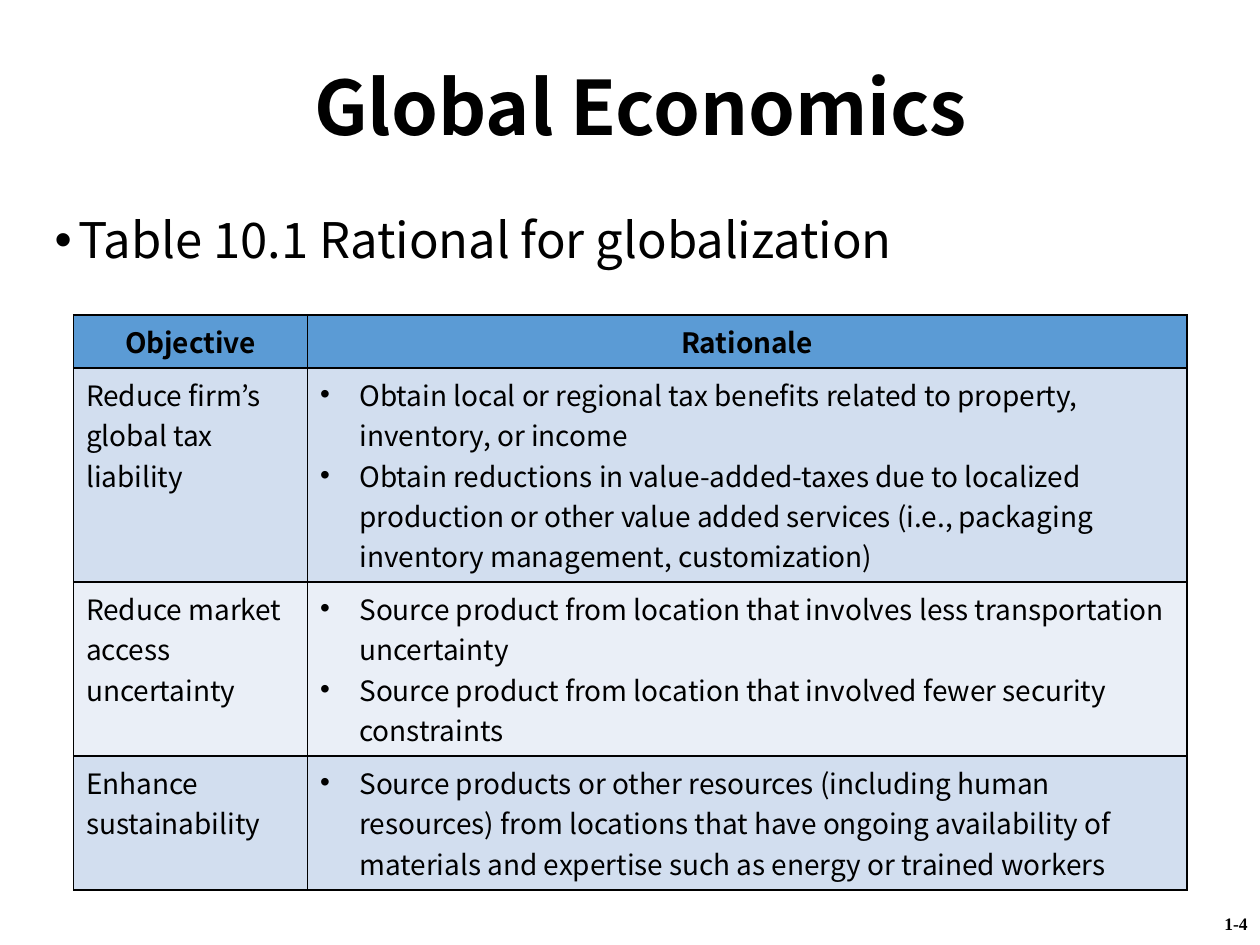
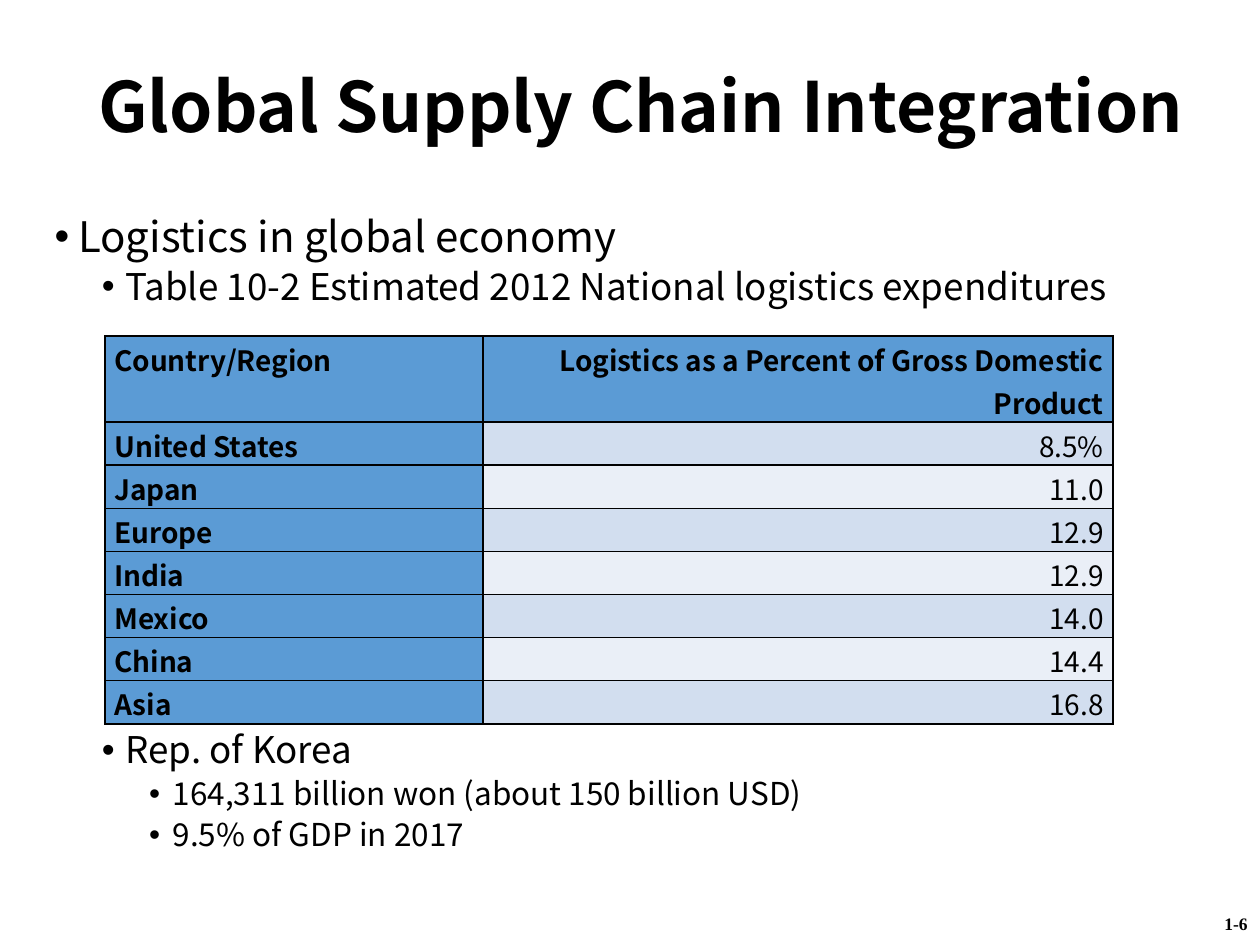
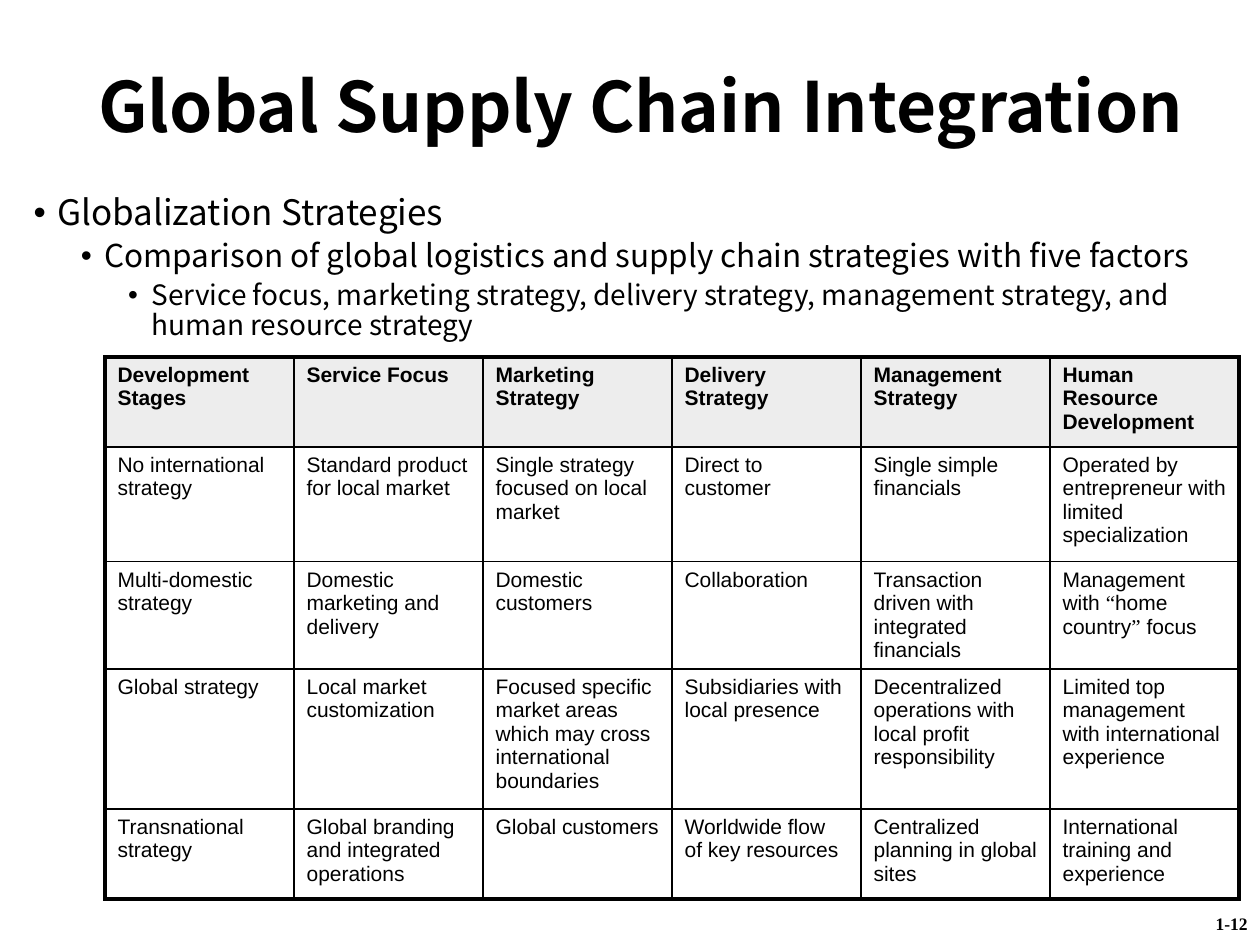
from itertools import groupby

from lxml import etree
from pptx import Presentation
from pptx.dml.color import RGBColor
from pptx.enum import text
from pptx.oxml.ns import qn
from pptx.util import Pt

COLORS = {
    "text": "000000",
    "header": "5B9BD5",
    "band_dark": "D2DEEF",
    "band_light": "EAEFF7",
    "gray": "EDEDED",
}
BANDS = ("band_dark", "band_light")
SANS, GRID_FONT, SERIF = "Noto Sans CJK KR", "Arial", "Times New Roman"
LEFT, CENTER, RIGHT = text.PP_ALIGN.LEFT, text.PP_ALIGN.CENTER, text.PP_ALIGN.RIGHT

SUPPLY_CHAIN_TITLE = "Global Supply Chain Integration"

RATIONALES = [
    ("Reduce firm’s global tax liability", [
        "Obtain local or regional tax benefits related to property, inventory, or income",
        "Obtain reductions in value-added-taxes due to localized production or other value "
        "added services (i.e., packaging inventory management, customization)",
    ]),
    ("Reduce market access uncertainty", [
        "Source product from location that involves less transportation uncertainty",
        "Source product from location that involved fewer security constraints",
    ]),
    ("Enhance sustainability", [
        "Source products or other resources (including human resources) from locations that "
        "have ongoing availability of materials and expertise such as energy or trained workers",
    ]),
]

EXPENDITURES = [
    ("Country/Region", "Logistics as a Percent of Gross Domestic Product"),
    ("United States", "8.5%"),
    ("Japan", "11.0"),
    ("Europe", "12.9"),
    ("India", "12.9"),
    ("Mexico", "14.0"),
    ("China", "14.4"),
    ("Asia", "16.8"),
]

STRATEGIES = [
    ("Development Stages", "Service Focus", "Marketing Strategy", "Delivery Strategy",
     "Management Strategy", "Human Resource Development"),
    ("No international strategy", "Standard product for local market",
     "Single strategy focused on local market", "Direct to customer",
     "Single simple financials", "Operated by entrepreneur with limited specialization"),
    ("Multi-domestic strategy", "Domestic marketing and delivery", "Domestic customers",
     "Collaboration", "Transaction driven with integrated financials",
     "Management with “home country” focus"),
    ("Global strategy", "Local market customization",
     "Focused specific market areas which may cross international boundaries",
     "Subsidiaries with local presence",
     "Decentralized operations with local profit responsibility",
     "Limited top management with international experience"),
    ("Transnational strategy", "Global branding and integrated operations",
     "Global customers", "Worldwide flow of key resources",
     "Centralized planning in global sites", "International training and experience"),
]


def set_attributes(target, values):
    for name, value in values.items():
        setattr(target, name, value)


def place(shape, left, top, width, height):
    set_attributes(shape, {"left": Pt(left), "top": Pt(top),
                           "width": Pt(width), "height": Pt(height)})


def add_run(paragraph, words, size, font=SANS, bold=False):
    run = paragraph.add_run()
    run.text = words
    set_attributes(run.font, {"name": font, "size": Pt(size), "bold": bold})
    run.font.color.rgb = RGBColor.from_string(COLORS["text"])


def add_bullet(paragraph, margin, hanging):
    properties = paragraph._p.get_or_add_pPr()
    properties.set("marL", str(Pt(margin)))
    properties.set("indent", str(-Pt(hanging)))
    font = etree.SubElement(properties, qn("a:buFont"))
    font.set("typeface", GRID_FONT)
    etree.SubElement(properties, qn("a:buChar")).set("char", "•")


def next_paragraph(frame, index):
    return frame.add_paragraph() if index else frame.paragraphs[0]


def add_slide(presentation, title, title_size, number):
    slide = presentation.slides.add_slide(presentation.slide_layouts[1])
    place(slide.shapes.title, 42, 24, 648, 72)
    frame = slide.shapes.title.text_frame
    set_attributes(frame, {"auto_size": text.MSO_AUTO_SIZE.NONE, "word_wrap": True,
                           "vertical_anchor": text.MSO_ANCHOR.MIDDLE})
    paragraph = frame.paragraphs[0]
    paragraph.alignment = CENTER
    add_run(paragraph, title, title_size, bold=True)

    box = slide.shapes.add_textbox(Pt(656), Pt(518.4), Pt(64), Pt(19.4))
    box.text_frame.word_wrap = True
    paragraph = box.text_frame.paragraphs[0]
    paragraph.alignment = RIGHT
    add_run(paragraph, number, 10, SERIF, bold=True)
    return slide


def fill_body(slide, position, items):
    """Write the list; each item is level, size, space before and words."""
    body = slide.placeholders[1]
    place(body, *position)
    frame = body.text_frame
    set_attributes(frame, {"auto_size": text.MSO_AUTO_SIZE.NONE, "word_wrap": True})
    for index, (level, size, space, words) in enumerate(items):
        paragraph = next_paragraph(frame, index)
        set_attributes(paragraph, {"level": level, "line_spacing": 0.9,
                                   "space_before": Pt(space)})
        add_bullet(paragraph, 13.5 + 27 * level, 13.5)
        add_run(paragraph, words, size)


def add_table(slide, left, top, widths, heights):
    frame = slide.shapes.add_table(len(heights), len(widths), Pt(left), Pt(top),
                                   Pt(sum(widths)), Pt(sum(heights)))
    table = frame.table
    set_attributes(table, {"first_row": False, "horz_banding": False})
    for column, width in zip(table.columns, widths):
        column.width = Pt(width)
    for row, height in zip(table.rows, heights):
        row.height = Pt(height)
    return table


def draw_borders(table, outer=1.0, inner=1.0):
    last_row, last_column = len(table.rows) - 1, len(table.columns) - 1
    for r in range(last_row + 1):
        for c in range(last_column + 1):
            edges = {"a:lnL": c == 0, "a:lnR": c == last_column,
                     "a:lnT": r == 0, "a:lnB": r == last_row}
            properties = table.cell(r, c)._tc.get_or_add_tcPr()
            for index, (tag, outside) in enumerate(edges.items()):
                line = etree.Element(qn(tag))
                line.set("w", str(Pt(outer if outside else inner)))
                fill = etree.SubElement(line, qn("a:solidFill"))
                etree.SubElement(fill, qn("a:srgbClr")).set("val", COLORS["text"])
                properties.insert(index, line)


def write_cell(cell, lines, fill=None, size=16, font=SANS, bold=False, align=LEFT,
               bullets=False, spacing=None, margins=None):
    if fill:
        cell.fill.solid()
        cell.fill.fore_color.rgb = RGBColor.from_string(COLORS[fill])
    else:
        cell.fill.background()
    set_attributes(cell, margins or {})
    for index, line in enumerate(lines):
        paragraph = next_paragraph(cell.text_frame, index)
        set_attributes(paragraph, {"alignment": align, "line_spacing": spacing})
        if bullets:
            add_bullet(paragraph, 22.5, 22.5)
        for quote, letters in groupby(line, lambda letter: letter in "“”"):
            add_run(paragraph, "".join(letters), size, SERIF if quote else font, bold)


def add_rationale_table(slide):
    table = add_table(slide, 42, 180, (133.7, 502.5), (30.3, 122.3, 99.4, 76.6))
    for column, heading in enumerate(("Objective", "Rationale")):
        write_cell(table.cell(0, column), [heading], "header", bold=True, align=CENTER)
    for index, (objective, reasons) in enumerate(RATIONALES):
        band = BANDS[index % 2]
        write_cell(table.cell(index + 1, 0), [objective], band)
        write_cell(table.cell(index + 1, 1), reasons, band, bullets=True)
    draw_borders(table)


def add_expenditure_table(slide):
    countries = len(EXPENDITURES) - 1
    table = add_table(slide, 60, 192, (216, 360), [49.2] + [24.65] * countries)
    shared = {"spacing": 1.07,
              "margins": {"margin_left": Pt(5.4), "margin_right": Pt(5.4),
                          "margin_top": 0, "margin_bottom": 0}}
    for row, (country, share) in enumerate(EXPENDITURES):
        heading = row == 0
        write_cell(table.cell(row, 0), [country], "header", bold=True, **shared)
        write_cell(table.cell(row, 1), [share], "header" if heading else BANDS[(row - 1) % 2],
                   bold=heading, align=RIGHT, **shared)
    draw_borders(table)


def add_strategy_table(slide):
    table = add_table(slide, 60, 204, [108] * 6, (51.4, 65.6, 61, 80, 51.4))
    for row, entries in enumerate(STRATEGIES):
        for column, entry in enumerate(entries):
            write_cell(table.cell(row, column), [entry], None if row else "gray",
                       size=12, font=GRID_FONT, bold=row == 0,
                       margins={"margin_bottom": 0})
    draw_borders(table, outer=2.25)


def main():
    presentation = Presentation()
    set_attributes(presentation, {"slide_width": Pt(720), "slide_height": Pt(540)})

    slide = add_slide(presentation, "Global Economics", 42.9, "1-4")
    fill_body(slide, (24, 120, 690, 396), [
        (0, 28, 0, "Table 10.1 Rational for globalization"),
    ])
    add_rationale_table(slide)

    slide = add_slide(presentation, SUPPLY_CHAIN_TITLE, 39.6, "1-6")
    fill_body(slide, (24, 120, 684, 396), [
        (0, 24, 0, "Logistics in global economy"),
        (1, 21, 4, "Table 10-2 Estimated 2012 National logistics expenditures"),
        (1, 21, 242, "Rep. of Korea"),
        (2, 18, 4, "164,311 billion won (about 150 billion USD)"),
        (2, 18, 4, "9.5% of GDP in 2017"),
    ])
    add_expenditure_table(slide)

    slide = add_slide(presentation, SUPPLY_CHAIN_TITLE, 39.6, "1-12")
    fill_body(slide, (12, 108, 702, 396), [
        (0, 20, 0, "Globalization Strategies"),
        (1, 18, 4, "Comparison of global logistics and supply chain strategies with five factors"),
        (2, 16, 4, "Service focus, marketing strategy, delivery strategy, management strategy, "
                   "and human resource strategy"),
    ])
    add_strategy_table(slide)

    presentation.save("out.pptx")


if __name__ == "__main__":
    main()
